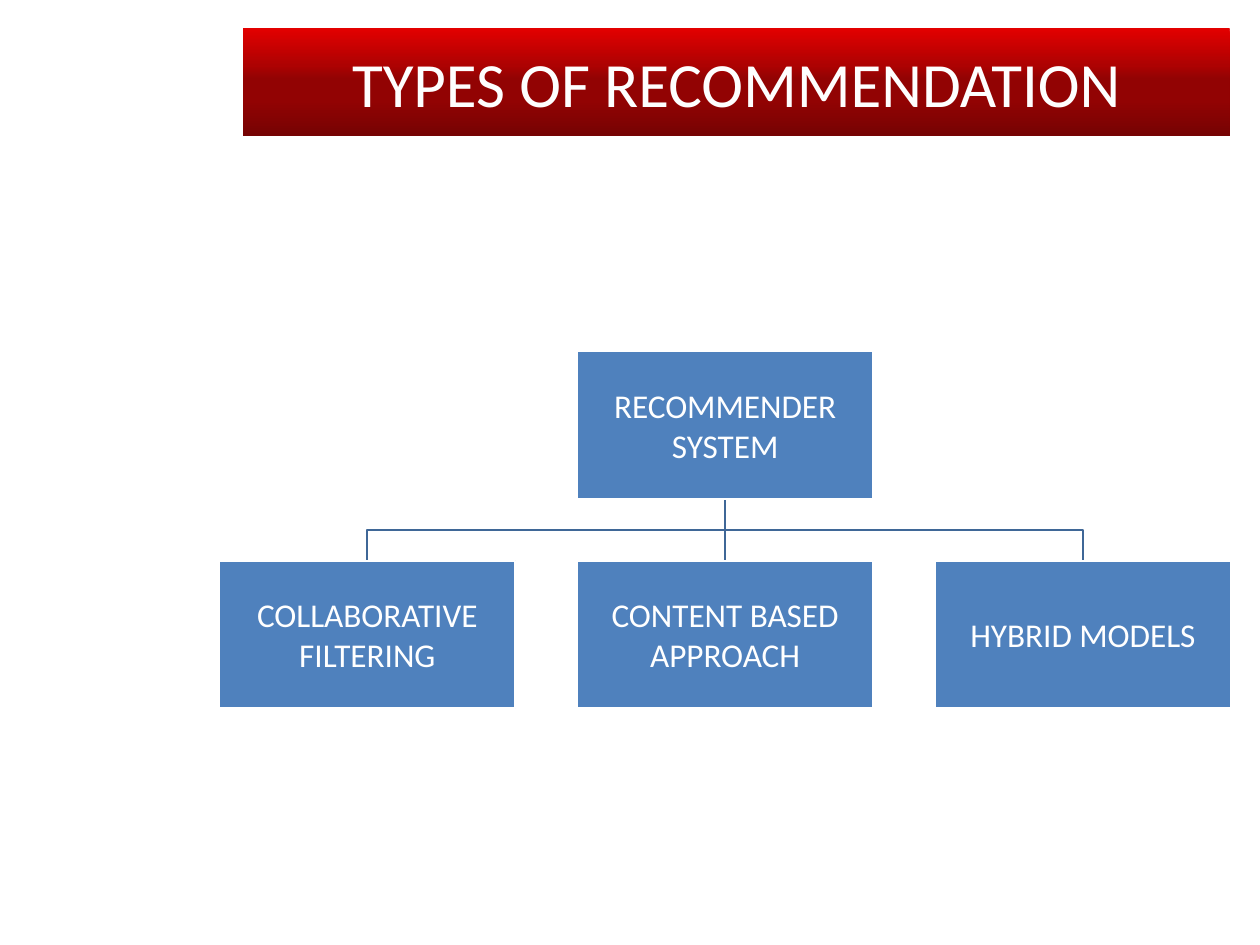
from copy import deepcopy

from lxml import etree
from pptx import Presentation
from pptx.dml.color import RGBColor
from pptx.enum import shapes, text
from pptx.oxml import ns
from pptx.util import Inches, Pt

COLORS = {"box": "4F81BD", "line": "3F6797", "white": "FFFFFF", "title": "FEFEFE"}
TITLE_STOPS = [(0, "E30000"), (35, "AD0202"), (47, "920303"), (67, "920303"), (100, "760303")]
FONT = "Calibri"

presentation = Presentation()
presentation.slide_width, presentation.slide_height = Inches(10), Inches(7.5)
slide = presentation.slides.add_slide(presentation.slide_layouts[5])

# Title bar with a five-stop vertical gradient
title = slide.shapes.title
title.left, title.top = Inches(1.93), Inches(0.22)
title.width, title.height = Inches(7.83), Inches(0.86)
title.fill.gradient()
title.fill.gradient_angle = 270
stop_list = title._element.spPr.find(".//" + ns.qn("a:gsLst"))
template_stop = deepcopy(stop_list[0])
for stop in list(stop_list):
    stop_list.remove(stop)
for position, color in TITLE_STOPS:
    stop = deepcopy(template_stop)
    stop.set("pos", str(position * 1000))
    for child in list(stop):
        stop.remove(child)
    etree.SubElement(stop, ns.qn("a:srgbClr"), val=color)
    stop_list.append(stop)

frame = title.text_frame
frame.text = "TYPES OF RECOMMENDATION"
frame.auto_size = text.MSO_AUTO_SIZE.NONE
frame.vertical_anchor = text.MSO_ANCHOR.MIDDLE
frame.paragraphs[0].alignment = text.PP_ALIGN.CENTER
run = frame.paragraphs[0].runs[0]
run.font.name, run.font.size = FONT, Pt(36)
run.font.color.rgb = RGBColor.from_string(COLORS["title"])

# Soft shadow behind the title letters
effects = etree.Element(ns.qn("a:effectLst"))
shadow = etree.SubElement(effects, ns.qn("a:outerShdw"), blurRad="38100", dist="25400", dir="2700000")
shadow_color = etree.SubElement(shadow, ns.qn("a:srgbClr"), val="000000")
etree.SubElement(shadow_color, ns.qn("a:alpha"), val="40000")
run.font._element.find(ns.qn("a:solidFill")).addnext(effects)

# Tree layout: one root above three evenly spaced children
BOX_WIDTH, BOX_HEIGHT = 2.35, 1.17
LEFT, STEP = 1.74, 2.84
ROOT_TOP, CHILD_TOP = 2.79, 4.45
ROOT_LEFT = LEFT + STEP
root_center, root_bottom = ROOT_LEFT + BOX_WIDTH / 2, ROOT_TOP + BOX_HEIGHT
branch_y = (root_bottom + CHILD_TOP) / 2
children = ["COLLABORATIVE FILTERING", "CONTENT BASED APPROACH", "HYBRID MODELS"]

# Elbow branches to the outer children
for child_center in (root_center - STEP, root_center + STEP):
    builder = slide.shapes.build_freeform(Inches(root_center), Inches(root_bottom))
    points = [(root_center, branch_y), (child_center, branch_y), (child_center, CHILD_TOP)]
    builder.add_line_segments([(Inches(x), Inches(y)) for x, y in points], close=False)
    branch = builder.convert_to_shape()
    branch.shadow.inherit = False
    branch.fill.background()
    branch.line.color.rgb = RGBColor.from_string(COLORS["line"])
    branch.line.width = Pt(1)

# Straight branch to the middle child
trunk = slide.shapes.add_connector(
    shapes.MSO_CONNECTOR.STRAIGHT,
    Inches(root_center), Inches(root_bottom), Inches(root_center), Inches(CHILD_TOP))
trunk.line.color.rgb = RGBColor.from_string(COLORS["line"])
trunk.line.width = Pt(1)
etree.SubElement(trunk._element.spPr, ns.qn("a:effectLst"))

# Boxes
nodes = [("RECOMMENDER SYSTEM", ROOT_LEFT, ROOT_TOP)]
nodes += [(label, LEFT + index * STEP, CHILD_TOP) for index, label in enumerate(children)]
boxes = []
for label, left, top in nodes:
    box = slide.shapes.add_shape(
        shapes.MSO_SHAPE.RECTANGLE,
        Inches(left), Inches(top), Inches(BOX_WIDTH), Inches(BOX_HEIGHT))
    box.shadow.inherit = False
    box.fill.solid()
    box.fill.fore_color.rgb = RGBColor.from_string(COLORS["box"])
    box.line.color.rgb = RGBColor.from_string(COLORS["white"])
    box.line.width = Pt(1)
    frame = box.text_frame
    frame.text = label
    frame.word_wrap = True
    frame.vertical_anchor = text.MSO_ANCHOR.MIDDLE
    frame.margin_left = frame.margin_right = Inches(0.01)
    frame.margin_top = frame.margin_bottom = Inches(0.01)
    paragraph = frame.paragraphs[0]
    paragraph.alignment = text.PP_ALIGN.CENTER
    paragraph.font.name, paragraph.font.size = FONT, Pt(19)
    paragraph.font.color.rgb = RGBColor.from_string(COLORS["white"])
    boxes.append(box)

# Join the straight branch to the root and the middle child
trunk.begin_connect(boxes[0], 2)
trunk.end_connect(boxes[2], 0)

presentation.save("out.pptx")
